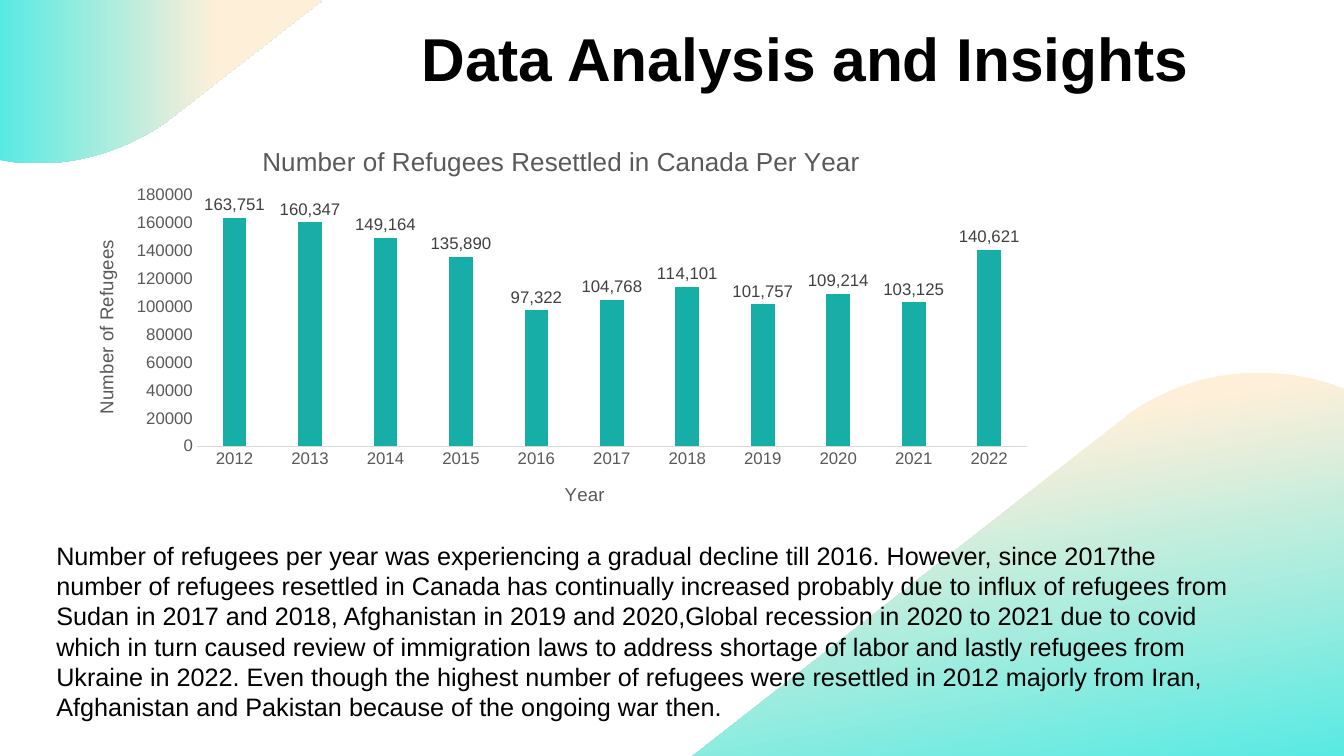
"""Build the slide on refugees resettled in Canada per year."""
from lxml import etree
from pptx import Presentation
from pptx import util as u
from pptx.chart import data
from pptx.dml.color import RGBColor
from pptx.enum import chart as charts, text
from pptx.oxml import ns

BLACK = RGBColor(0x00, 0x00, 0x00)
GREY = RGBColor(0x59, 0x59, 0x59)
DARK_GREY = RGBColor(0x40, 0x40, 0x40)
PALE_GREY = RGBColor(0xD9, 0xD9, 0xD9)
TEAL = RGBColor(0x16, 0xAE, 0xA7)
PEACH = RGBColor(0xFE, 0xEF, 0xD9)
AQUA = RGBColor(0x58, 0xEA, 0xE3)
FONT = "Arial"
WIDTH, HEIGHT = 13.33, 7.5
CURVE_STEPS = 16


def style(font, size, color, bold=False):
    font.name, font.size, font.bold = FONT, u.Pt(size), bold
    font.color.rgb = color


def add_chart_title(owner, words, size, left, top):
    owner.has_title = True
    title = owner.chart_title if hasattr(owner, "chart_title") else owner.axis_title
    span = title.text_frame.paragraphs[0].add_run()
    span.text = words
    style(span.font, size, GREY)
    element = title._element
    for old in element.findall(ns.qn("c:layout")):
        element.remove(old)
    layout = etree.Element(ns.qn("c:layout"))
    element.find(ns.qn("c:tx")).addnext(layout)
    manual = etree.SubElement(layout, ns.qn("c:manualLayout"))
    for tag, value in (("xMode", "edge"), ("yMode", "edge"), ("x", left), ("y", top)):
        etree.SubElement(manual, ns.qn(f"c:{tag}")).set("val", str(value))


deck = Presentation()
deck.slide_width, deck.slide_height = u.Inches(WIDTH), u.Inches(HEIGHT)
page = deck.slides.add_slide(deck.slide_layouts[6])

top_wave = [
    (0, 0), (3.2, 0), (1.7, 1.17), (1.65, 1.21),
    (1.29, 1.46, 0.88, 1.6, 0.46, 1.62),
    (0.42, 1.62, 0.37, 1.62, 0.33, 1.62),
    (0.27, 1.62, 0.21, 1.61, 0.15, 1.61), (0, 1.59),
]
bottom_wave = [
    (12.53, 3.7), (12.77, 3.7, 13, 3.74, 13.23, 3.82), (13.33, 3.86),
    (WIDTH, HEIGHT), (6.87, HEIGHT), (11.16, 4.14), (11.2, 4.1),
    (11.57, 3.85, 11.98, 3.71, 12.4, 3.7),
    (12.44, 3.7, 12.48, 3.69, 12.53, 3.7),
]
waves = [
    (top_wave, 0, (AQUA, 0), (PEACH, 0.67)),
    (bottom_wave, 280, (PEACH, 0.23), (AQUA, 1)),
]
for outline, angle, *stops in waves:
    points = [outline[0]]
    for step in outline[1:]:
        if len(step) == 2:
            points.append(step)
            continue
        nodes = [points[-1], step[:2], step[2:4], step[4:]]
        for i in range(1, CURVE_STEPS + 1):
            t = i / CURVE_STEPS
            weights = ((1 - t) ** 3, 3 * t * (1 - t) ** 2, 3 * t * t * (1 - t), t ** 3)
            points.append(tuple(sum(w * n[k] for w, n in zip(weights, nodes)) for k in (0, 1)))
    corners = [(u.Inches(x), u.Inches(y)) for x, y in points]
    builder = page.shapes.build_freeform(*corners[0])
    builder.add_line_segments(corners[1:], close=True)
    wave = builder.convert_to_shape()
    wave.shadow.inherit = False
    wave.line.fill.background()
    wave.fill.gradient()
    wave.fill.gradient_angle = angle
    for stop, (color, position) in zip(wave.fill.gradient_stops, stops):
        stop.color.rgb, stop.position = color, position

refugees = data.CategoryChartData(number_format="General")
refugees.categories = [str(year) for year in range(2012, 2023)]
refugees.add_series("Series 1", (
    163751, 160347, 149164, 135890, 97322, 104768,
    114101, 101757, 109214, 103125, 140621))
chart = page.shapes.add_chart(
    charts.XL_CHART_TYPE.COLUMN_CLUSTERED, u.Inches(0.66), u.Inches(1.18),
    u.Inches(9.72), u.Inches(4.02), refugees).chart
chart.has_legend = False
style(chart.font, 10, BLACK)
add_chart_title(chart, "Number of Refugees Resettled in Canada Per Year", 18.6, 0.195, 0.05)
add_chart_title(chart.category_axis, "Year", 13.3, 0.505, 0.89)
add_chart_title(chart.value_axis, "Number of Refugees", 13.3, 0.025, 0.29)

for axis in (chart.category_axis, chart.value_axis):
    axis.major_tick_mark = axis.minor_tick_mark = charts.XL_TICK_MARK.NONE
    axis.has_major_gridlines = False
    style(axis.tick_labels.font, 12, GREY)
chart.category_axis.format.line.color.rgb = PALE_GREY
chart.category_axis.format.line.width = u.Pt(0.75)
chart.value_axis.format.line.fill.background()
chart.value_axis.minimum_scale, chart.value_axis.maximum_scale = 0, 180000
chart.value_axis.major_unit = 20000

plot = chart.plots[0]
plot.gap_width, plot.overlap, plot.vary_by_categories = 219, -27, False
bars = plot.series[0]
bars.format.fill.solid()
bars.format.fill.fore_color.rgb = TEAL
labels = bars.data_labels
labels.show_value = True
labels.position = charts.XL_LABEL_POSITION.OUTSIDE_END
labels.number_format, labels.number_format_is_linked = "#,##0", False
style(labels.font, 12, DARK_GREY)

area = chart._chartSpace.chart.plotArea
for old in area.findall(ns.qn("c:layout")):
    area.remove(old)
layout = etree.Element(ns.qn("c:layout"))
area.insert(0, layout)
manual = etree.SubElement(layout, ns.qn("c:manualLayout"))
for tag, value in (("layoutTarget", "inner"), ("xMode", "edge"), ("yMode", "edge"),
                   ("x", 0.133), ("y", 0.188), ("w", 0.847), ("h", 0.62)):
    etree.SubElement(manual, ns.qn(f"c:{tag}")).set("val", str(value))

insight = (
    "Number of refugees per year was experiencing a gradual decline till 2016. "
    "However, since 2017the number of refugees resettled in Canada has continually "
    "increased probably due to influx of refugees from Sudan in 2017 and 2018, "
    "Afghanistan in 2019 and 2020,Global recession in 2020 to 2021 due to covid which "
    "in turn caused review of immigration laws to address shortage of labor and lastly "
    "refugees from Ukraine in 2022. Even though the highest number of refugees were "
    "resettled in 2012 majorly from Iran, Afghanistan and Pakistan because of the "
    "ongoing war then.")
texts = [
    ((3.47, 0.24, 8.42, 1.38), "Data Analysis and Insights", 43.2, True,
     text.PP_ALIGN.RIGHT, 0.9),
    ((0.46, 5.31, 12.02, 1.92), insight, 18, False, text.PP_ALIGN.LEFT, 1.0),
]
for place, words, size, bold, align, spacing in texts:
    box = page.shapes.add_textbox(*map(u.Inches, place))
    box.text_frame.word_wrap = True
    para = box.text_frame.paragraphs[0]
    para.alignment, para.line_spacing = align, spacing
    span = para.add_run()
    span.text = words
    style(span.font, size, BLACK, bold)

deck.save("out.pptx")
